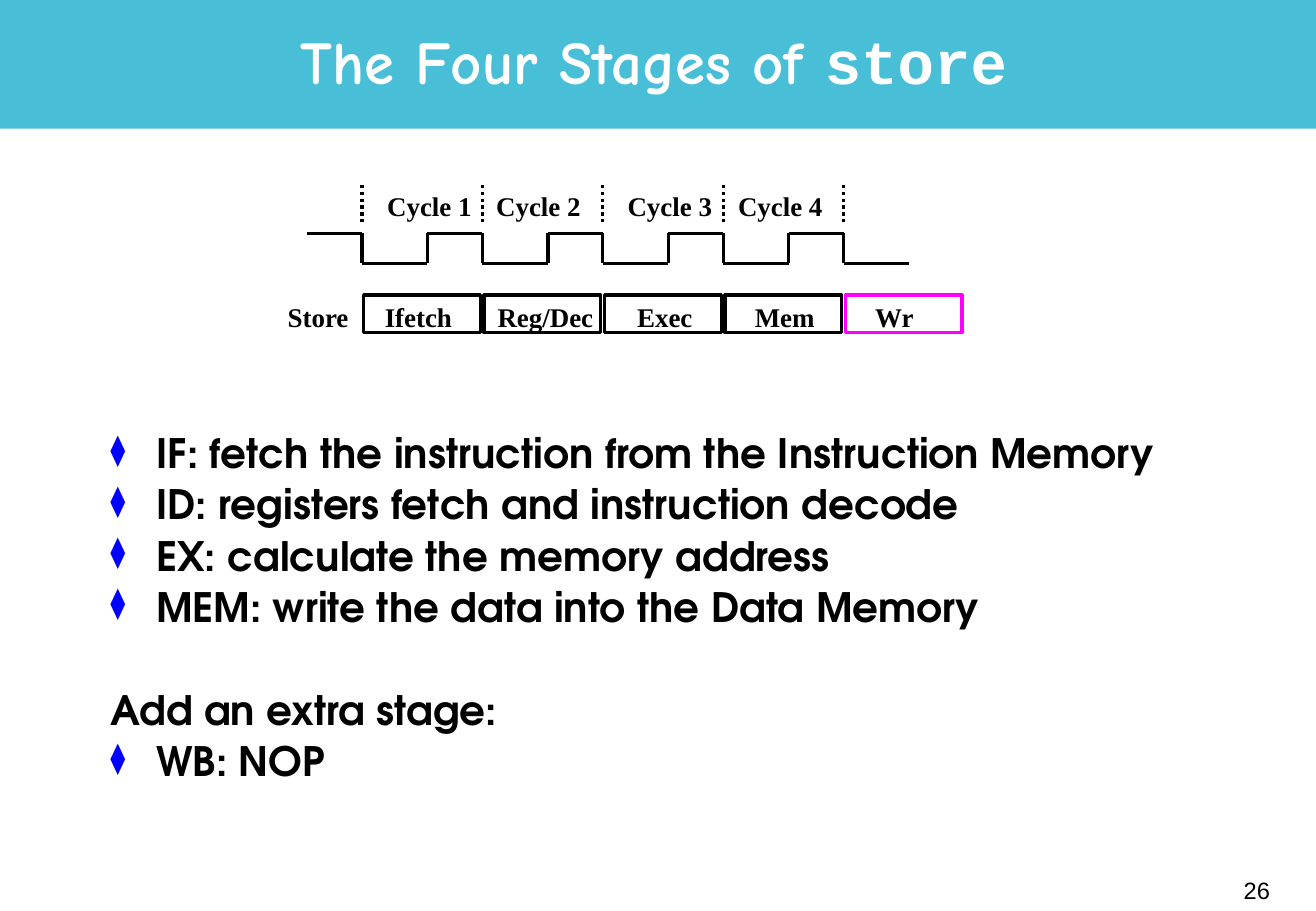
from lxml import etree
from pptx import Presentation
from pptx.dml.color import RGBColor
from pptx.enum import dml, shapes, text
from pptx.oxml import ns
from pptx.util import Cm, Pt

TITLE = [("The Four Stages of ", "Comic Neue"), ("store", "Courier New")]
CYCLES = [("Cycle 1", 7.85), ("Cycle 2", 10.13), ("Cycle 3", 12.88), ("Cycle 4", 15.19)]
STAGES = [
    ("Ifetch", 7.8, 1.93, "000000"),
    ("Reg/Dec", 10.16, 2.51, "000000"),
    ("Exec", 13.08, 1.68, "000000"),
    ("Mem", 15.54, 1.75, "000000"),
    ("Wr", 18.06, 1.32, "FF00FF"),
]
POINTS = [
    ("IF: fetch the instruction from the Instruction Memory", True, 0),
    ("ID: registers fetch and instruction decode", True, 4.5),
    ("EX: calculate the memory address", True, 4.5),
    ("MEM: write the data into the Data Memory", True, 4.5),
    ("Add an extra stage:", False, 35),
    ("WB: NOP", True, 4.5),
]

CLOCK_LEFT, PERIOD, LOW_WIDTH = 7.57, 2.52, 1.37
HIGH, LOW = 4.88, 5.51
TICK_TOP, TICK_BOTTOM = 3.81, 4.65
STAGE_TOP, STAGE_WIDTH, STAGE_HEIGHT = 6.17, 2.44, 0.79
LABEL_HEIGHT, INDENT = 0.94, 0.96


def rgb(color):
    return RGBColor.from_string(color)


def add_run(p, words, font="Times New Roman", size=16, color="000000", bold=True):
    r = p.add_run()
    r.text = words
    r.font.name, r.font.size, r.font.bold = font, Pt(size), bold
    r.font.color.rgb = rgb(color)


def add_box(s, left, top, width, height, wrap=False, anchor=text.MSO_ANCHOR.TOP):
    tf = s.shapes.add_textbox(Cm(left), Cm(top), Cm(width), Cm(height)).text_frame
    tf.word_wrap, tf.vertical_anchor = wrap, anchor
    return tf


def add_label(s, words, left, top, width):
    add_run(add_box(s, left, top, width, LABEL_HEIGHT).paragraphs[0], words)


def add_line(s, x1, y1, x2, y2, dash=None):
    c = s.shapes.add_connector(shapes.MSO_CONNECTOR.STRAIGHT, Cm(x1), Cm(y1), Cm(x2), Cm(y2))
    c.line.color.rgb, c.line.width = rgb("000000"), Pt(2)
    if dash:
        c.line.dash_style = dash
    etree.SubElement(c._element.spPr, ns.qn("a:effectLst"))


def add_rect(s, left, top, width, height, fill=None, line=None):
    sp = s.shapes.add_shape(shapes.MSO_SHAPE.RECTANGLE, Cm(left), Cm(top), Cm(width), Cm(height))
    sp.shadow.inherit = False
    if fill:
        sp.fill.solid()
        sp.fill.fore_color.rgb = rgb(fill)
    else:
        sp.fill.background()
    if line:
        sp.line.color.rgb, sp.line.width = rgb(line), Pt(2)
    else:
        sp.line.fill.background()
    return sp


def add_bullet(p):
    pPr = p._p.get_or_add_pPr()
    pPr.set("marL", str(Cm(INDENT)))
    pPr.set("indent", str(-Cm(INDENT)))
    color = etree.SubElement(pPr, ns.qn("a:buClr"))
    etree.SubElement(color, ns.qn("a:srgbClr"), val="0000FF")
    etree.SubElement(pPr, ns.qn("a:buSzPct"), val="75000")
    etree.SubElement(pPr, ns.qn("a:buChar"), char="⧫")


def add_title(s):
    band = add_rect(s, 0, 0, 27.53, 2.69, fill="49BFD7")
    s.shapes._spTree.insert(2, band._element)
    title = s.shapes.title
    title.left, title.top, title.width, title.height = Cm(1.98), Cm(0.13), Cm(23.39), Cm(2.51)
    tf = title.text_frame
    tf.vertical_anchor = text.MSO_ANCHOR.MIDDLE
    tf.auto_size = text.MSO_AUTO_SIZE.NONE
    p = tf.paragraphs[0]
    p.alignment, p.line_spacing = text.PP_ALIGN.CENTER, 0.85
    for words, font in TITLE:
        add_run(p, words, font=font, size=36, color="FFFFFF")


def add_clock(s):
    add_line(s, CLOCK_LEFT - PERIOD + LOW_WIDTH, HIGH, CLOCK_LEFT, HIGH)
    for i in range(len(CYCLES) + 1):
        fall = CLOCK_LEFT + i * PERIOD
        rise = fall + LOW_WIDTH
        add_line(s, fall, TICK_BOTTOM, fall, TICK_TOP, dash=dml.MSO_LINE.ROUND_DOT)
        add_line(s, fall, HIGH, fall, LOW)
        add_line(s, fall, LOW, rise, LOW)
        if i < len(CYCLES):
            add_line(s, rise, LOW, rise, HIGH)
            add_line(s, rise, HIGH, fall + PERIOD, HIGH)
    for words, left in CYCLES:
        add_label(s, words, left, 3.84, 2.29)


def add_stages(s):
    add_label(s, "Store", 5.77, STAGE_TOP, 1.8)
    for i, (words, left, width, color) in enumerate(STAGES):
        add_rect(s, CLOCK_LEFT + 0.04 + i * PERIOD, STAGE_TOP, STAGE_WIDTH, STAGE_HEIGHT, line=color)
        add_label(s, words, left, STAGE_TOP, width)


def add_points(s):
    tf = add_box(s, 2.06, 8.94, 23.39, 8.6, wrap=True)
    for i, (words, bulleted, before) in enumerate(POINTS):
        p = tf.add_paragraph() if i else tf.paragraphs[0]
        if bulleted:
            add_bullet(p)
        p.line_spacing, p.space_before = 0.9, Pt(before)
        add_run(p, words, font="TeX Gyre Adventor", size=24)


def main():
    prs = Presentation()
    prs.slide_width, prs.slide_height = Cm(27.53), Cm(19.05)
    s = prs.slides.add_slide(prs.slide_layouts[5])
    add_title(s)
    add_clock(s)
    add_stages(s)
    add_points(s)
    p = add_box(s, 21.08, 17.98, 5.74, 1.27, anchor=text.MSO_ANCHOR.MIDDLE).paragraphs[0]
    p.alignment = text.PP_ALIGN.RIGHT
    add_run(p, "26", font="Arial", size=14, bold=False)
    prs.save("out.pptx")


if __name__ == "__main__":
    main()
